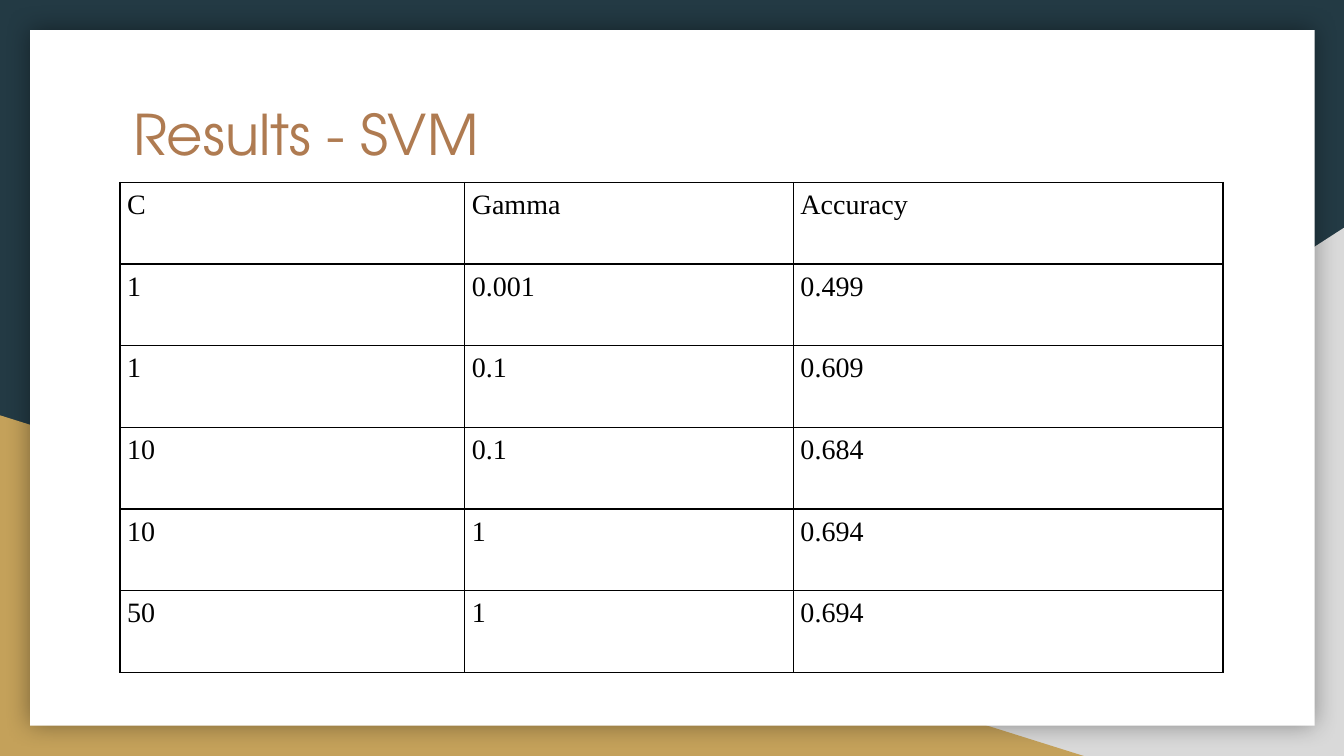
from dataclasses import dataclass

from lxml import etree
from pptx import Presentation, util as u
from pptx.dml.color import RGBColor
from pptx.enum import shapes, text
from pptx.oxml import ns
from pptx.shapes.autoshape import Shape
from pptx.slide import Slide
from pptx.table import _Cell
from pptx.text.text import TextFrame


@dataclass(frozen=True)
class Theme:
    background: str = "233A44"
    grey: str = "D9D9D9"
    gold: str = "C4A15A"
    paper: str = "FFFFFF"
    heading: str = "AF7B51"
    ink: str = "000000"
    heading_font: str = "TeX Gyre Adventor"
    table_font: str = "Times New Roman"
    heading_size: int = 40
    table_size: int = 20
    border_width: int = 1
    shadow_blur: int = 18
    shadow_opacity: int = 40


@dataclass(frozen=True)
class Box:
    left: float
    top: float
    width: float
    height: float

    def inches(self) -> tuple[u.Length, ...]:
        return tuple(u.Inches(n) for n in (self.left, self.top, self.width, self.height))


@dataclass(frozen=True)
class Panel:
    kind: shapes.MSO_SHAPE
    box: Box
    color: str
    flipped: bool = False
    shadowed: bool = False


THEME = Theme()
TRIANGLE = shapes.MSO_SHAPE.RIGHT_TRIANGLE
PANELS = (
    Panel(TRIANGLE, Box(5.22, 2.26, 8.11, 5.24), THEME.grey, flipped=True),
    Panel(TRIANGLE, Box(0, 4.12, 10.75, 3.38), THEME.gold),
    Panel(shapes.MSO_SHAPE.RECTANGLE, Box(0.3, 0.3, 12.74, 6.9), THEME.paper, shadowed=True),
)
TITLE_BOX = Box(1.19, 0.82, 10.94, 1)
TABLE_BOX = Box(1.19, 1.81, 10.94, 4.86)
COLUMN_WIDTHS = (3.42, 3.26, 4.26)
RESULTS = (
    ("C", "Gamma", "Accuracy"),
    ("1", "0.001", "0.499"),
    ("1", "0.1", "0.609"),
    ("10", "0.1", "0.684"),
    ("10", "1", "0.694"),
    ("50", "1", "0.694"),
)


def set_margins(target: TextFrame | _Cell, inset: float) -> None:
    for side in ("left", "top", "right", "bottom"):
        setattr(target, f"margin_{side}", u.Inches(inset))


def write(frame: TextFrame, words: str, font_name: str, size: int, color: str) -> None:
    run = frame.paragraphs[0].add_run()
    run.text = words
    for name, value in {"name": font_name, "size": u.Pt(size)}.items():
        setattr(run.font, name, value)
    run.font.color.rgb = RGBColor.from_string(color)


def add_color(parent: etree._Element, color: str) -> etree._Element:
    return etree.SubElement(parent, ns.qn("a:srgbClr"), val=color)


def add_glow_shadow(shape: Shape) -> None:
    """Add a blurred shadow that spreads evenly on all sides."""
    effects = shape._element.spPr.find(ns.qn("a:effectLst"))
    shadow = etree.SubElement(
        effects, ns.qn("a:outerShdw"), blurRad=str(u.Pt(THEME.shadow_blur)),
        dist="0", dir="0", algn="ctr", rotWithShape="0",
    )
    opacity = str(THEME.shadow_opacity * 1000)
    etree.SubElement(add_color(shadow, THEME.ink), ns.qn("a:alpha"), val=opacity)


def add_panel(slide: Slide, panel: Panel) -> None:
    shape = slide.shapes.add_shape(panel.kind, *panel.box.inches())
    shape.shadow.inherit = False
    shape.fill.solid()
    shape.fill.fore_color.rgb = RGBColor.from_string(panel.color)
    shape.line.fill.background()
    if panel.flipped:
        shape._element.spPr.xfrm.set("flipH", "1")
    if panel.shadowed:
        add_glow_shadow(shape)


def add_title(slide: Slide, words: str) -> None:
    frame = slide.shapes.add_textbox(*TITLE_BOX.inches()).text_frame
    frame.word_wrap = True
    frame.vertical_anchor = text.MSO_ANCHOR.MIDDLE
    set_margins(frame, 0.13)
    write(frame, words, THEME.heading_font, THEME.heading_size, THEME.heading)


def add_borders(cell: _Cell) -> None:
    """Draw all four edges; they must come before the cell's fill."""
    properties = cell._tc.get_or_add_tcPr()
    for index, edge in enumerate(("lnL", "lnR", "lnT", "lnB")):
        line = etree.Element(ns.qn(f"a:{edge}"), w=str(u.Pt(THEME.border_width)))
        add_color(etree.SubElement(line, ns.qn("a:solidFill")), THEME.ink)
        properties.insert(index, line)


def add_results_table(slide: Slide) -> None:
    frame = slide.shapes.add_table(len(RESULTS), len(COLUMN_WIDTHS), *TABLE_BOX.inches())
    table = frame.table
    for flag in ("first_row", "horz_banding"):
        setattr(table, flag, False)
    for column, width in zip(table.columns, COLUMN_WIDTHS):
        column.width = u.Inches(width)
    for row, values in zip(table.rows, RESULTS):
        row.height = u.Inches(TABLE_BOX.height / len(RESULTS))
        for cell, value in zip(row.cells, values):
            set_margins(cell, 0.07)
            cell.fill.background()
            add_borders(cell)
            write(cell.text_frame, value, THEME.table_font, THEME.table_size, THEME.ink)


def main() -> None:
    presentation = Presentation()
    presentation.slide_width = u.Inches(13.33)
    presentation.slide_height = u.Inches(7.5)
    slide = presentation.slides.add_slide(presentation.slide_layouts[6])
    slide.background.fill.solid()
    slide.background.fill.fore_color.rgb = RGBColor.from_string(THEME.background)
    for panel in PANELS:
        add_panel(slide, panel)
    add_title(slide, "Results - SVM")
    add_results_table(slide)
    presentation.save("out.pptx")


if __name__ == "__main__":
    main()
